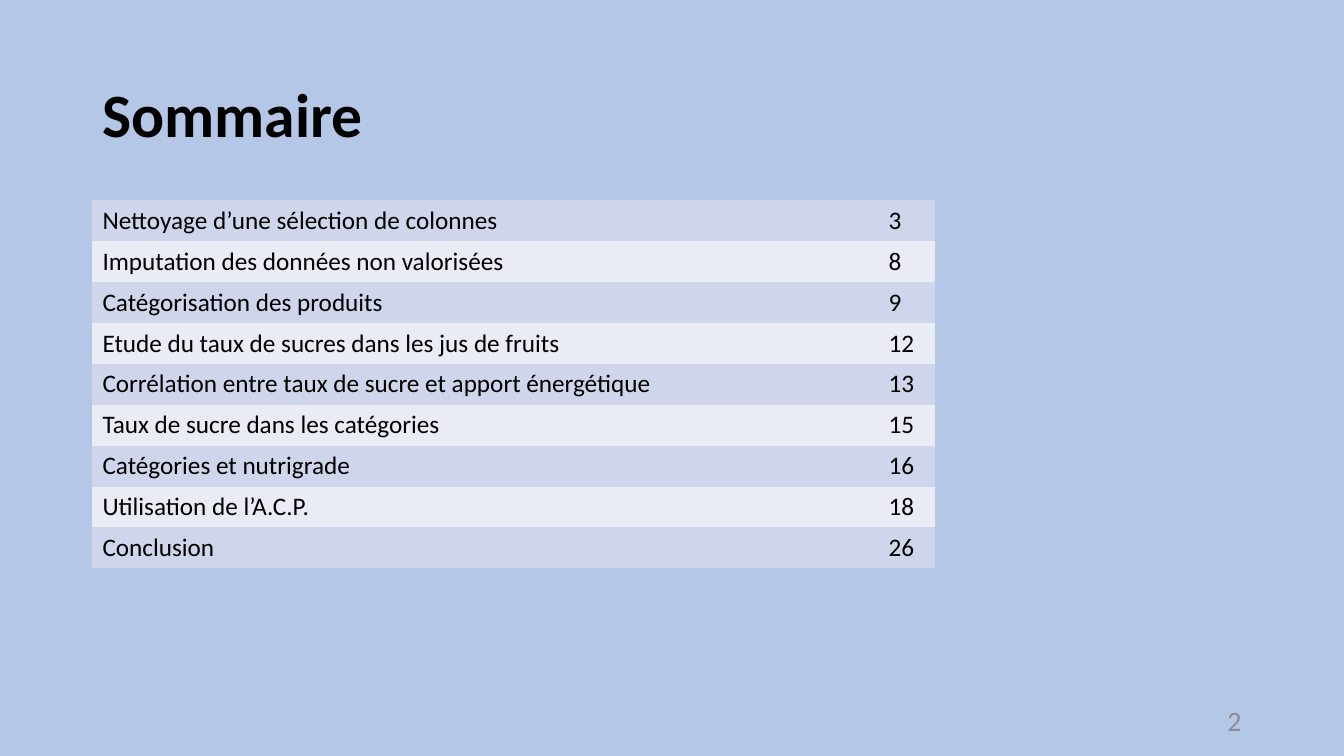
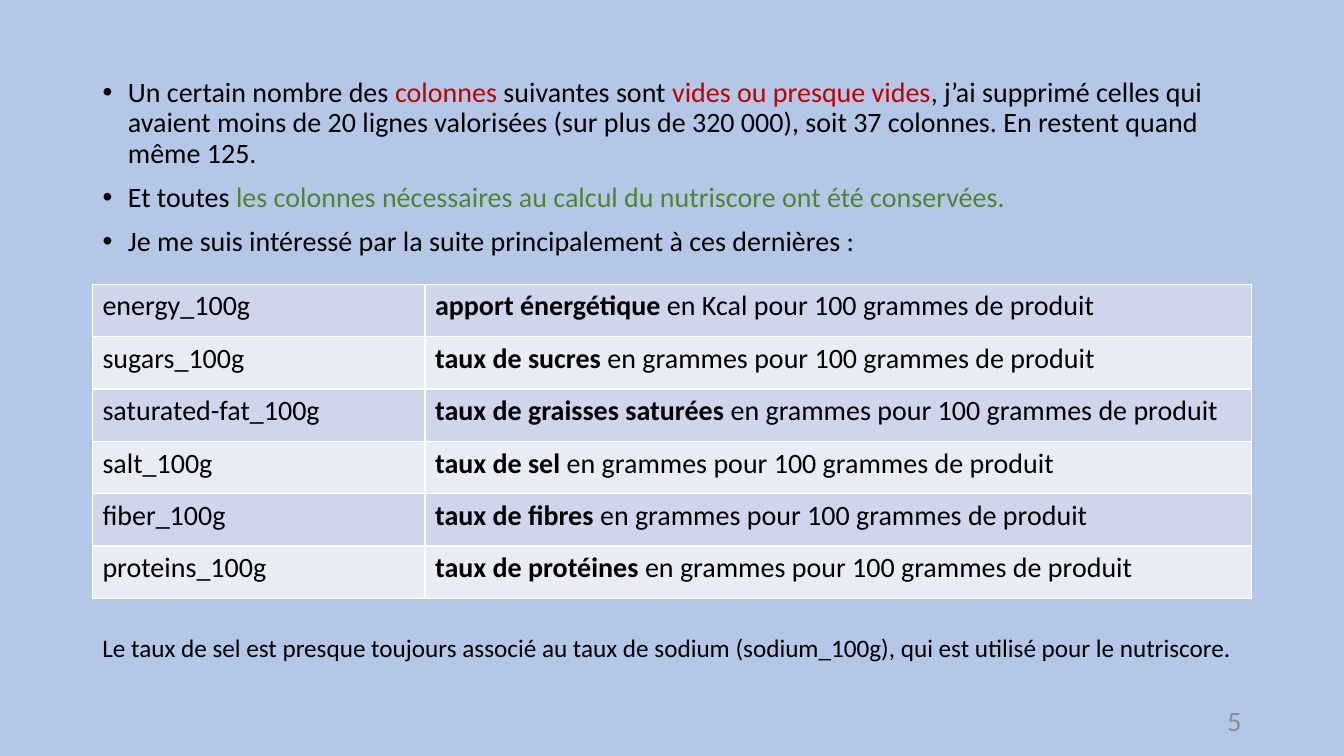
from lxml.etree import SubElement
from pptx import Presentation
from pptx.dml.color import RGBColor
from pptx.enum.text import MSO_ANCHOR, MSO_AUTO_SIZE, PP_ALIGN
from pptx.oxml.ns import qn
from pptx.util import Cm, Pt

COLORS = {
    "background": "B4C7E7",
    "text": "000000",
    "number": "8C8C8C",
    "alert": "C00000",
    "good": "548235",
    "band_dark": "CFD5EA",
    "band_light": "E9EBF5",
    "border": "FFFFFF",
}
FONT = "Calibri"
LEFT, WIDTH = 2.33, 29.21
TITLE_ONLY, TITLE_AND_BODY = 5, 1
NO_STYLE = "{2D5ABB26-0587-4C30-8999-92F81FD0307C}"

CONTENTS = [
    ("Nettoyage d’une sélection de colonnes", "3"),
    ("Imputation des données non valorisées", "8"),
    ("Catégorisation des produits", "9"),
    ("Etude du taux de sucres dans les jus de fruits", "12"),
    ("Corrélation entre taux de sucre et apport énergétique", "13"),
    ("Taux de sucre dans les catégories", "15"),
    ("Catégories et nutrigrade", "16"),
    ("Utilisation de l’A.C.P.", "18"),
    ("Conclusion", "26"),
]
REMARKS = [
    [("Un certain nombre des ", "text"), ("colonnes", "alert"),
     (" suivantes sont ", "text"), ("vides ou presque vides", "alert"),
     (", j’ai supprimé celles qui avaient moins de 20 lignes valorisées "
      "(sur plus de 320 000), soit 37 colonnes. En restent quand même 125.", "text")],
    [("Et toutes ", "text"),
     ("les colonnes nécessaires au calcul du nutriscore ont été conservées.", "good")],
    [("Je me suis intéressé par la suite principalement à ces dernières :", "text")],
]
NUTRIENTS = [
    ("energy_100g", "apport énergétique", "Kcal"),
    ("sugars_100g", "taux de sucres", "grammes"),
    ("saturated-fat_100g", "taux de graisses saturées", "grammes"),
    ("salt_100g", "taux de sel", "grammes"),
    ("fiber_100g", "taux de fibres", "grammes"),
    ("proteins_100g", "taux de protéines", "grammes"),
]


def rgb(name):
    return RGBColor.from_string(COLORS[name])


def add_run(p, text, size=20, color="text", bold=False):
    r = p.add_run()
    r.text = text
    r.font.name, r.font.size, r.font.bold = FONT, Pt(size), bold
    r.font.color.rgb = rgb(color)


def place(sp, left, top, width, height):
    sp.left, sp.top, sp.width, sp.height = Cm(left), Cm(top), Cm(width), Cm(height)


def add_text(slide, text, left, top, width, height, align=PP_ALIGN.LEFT,
             anchor=MSO_ANCHOR.TOP, **fmt):
    sp = slide.shapes.add_textbox(Cm(left), Cm(top), Cm(width), Cm(height))
    tf = sp.text_frame
    tf.word_wrap, tf.vertical_anchor = True, anchor
    p = tf.paragraphs[0]
    p.alignment = align
    add_run(p, text, **fmt)


def add_number(slide, number):
    add_text(slide, number, 23.92, 17.65, 7.62, 1.02, align=PP_ALIGN.RIGHT,
             anchor=MSO_ANCHOR.MIDDLE, color="number")


def set_title(slide, text):
    sp = slide.shapes.title
    place(sp, LEFT, 1.88, WIDTH, 2.18)
    tf = sp.text_frame
    tf.vertical_anchor, tf.auto_size = MSO_ANCHOR.MIDDLE, MSO_AUTO_SIZE.NONE
    p = tf.paragraphs[0]
    p.alignment, p.line_spacing = PP_ALIGN.LEFT, 0.9
    add_run(p, text, size=44, bold=True)


def set_bullets(sp, items):
    tf = sp.text_frame
    tf.auto_size = MSO_AUTO_SIZE.NONE
    for i, item in enumerate(items):
        p = tf.paragraphs[0] if i == 0 else tf.add_paragraph()
        p.line_spacing, p.space_before = 0.9, Pt(10)
        pPr = p._p.get_or_add_pPr()
        pPr.set("marL", str(Cm(0.64)))
        pPr.set("indent", str(-Cm(0.64)))
        SubElement(pPr, qn("a:buFont"), typeface="Arial")
        SubElement(pPr, qn("a:buChar"), char="•")
        for text, color in item:
            add_run(p, text, color=color)


def set_borders(cell):
    tcPr = cell._tc.get_or_add_tcPr()
    for i, side in enumerate(("lnL", "lnR", "lnT", "lnB")):
        ln = tcPr.makeelement(qn("a:" + side), {"w": str(Pt(1))})
        fill = SubElement(ln, qn("a:solidFill"))
        SubElement(fill, qn("a:srgbClr"), val=COLORS["border"])
        tcPr.insert(i, ln)  # borders come before the fill


def add_banded_table(slide, rows, top, col_widths, row_height, size, borders=False):
    """Each cell is a list of (text, bold) runs."""
    frame = slide.shapes.add_table(len(rows), len(col_widths), Cm(LEFT), Cm(top),
                                   Cm(sum(col_widths)), Cm(row_height * len(rows)))
    table = frame.table
    table.first_row = table.horz_banding = False
    table._tbl.tblPr.find(qn("a:tableStyleId")).text = NO_STYLE
    for column, width in zip(table.columns, col_widths):
        column.width = Cm(width)
    for i, row in enumerate(rows):
        table.rows[i].height = Cm(row_height)
        for j, runs in enumerate(row):
            cell = table.cell(i, j)
            cell.fill.solid()
            cell.fill.fore_color.rgb = rgb("band_light" if i % 2 else "band_dark")
            for text, bold in runs:
                add_run(cell.text_frame.paragraphs[0], text, size=size, bold=bold)
            if borders:
                set_borders(cell)


def build_contents(prs):
    slide = prs.slides.add_slide(prs.slide_layouts[TITLE_ONLY])
    set_title(slide, "Sommaire")
    rows = [[[(topic, False)], [(page, False)]] for topic, page in CONTENTS]
    add_banded_table(slide, rows, 5.05, (19.81, 1.42), 1.03, size=18)
    add_number(slide, "2")


def build_columns(prs):
    slide = prs.slides.add_slide(prs.slide_layouts[TITLE_AND_BODY])
    title = slide.shapes.title._element
    title.getparent().remove(title)
    body = slide.placeholders[1]
    place(body, LEFT, 1.85, WIDTH, 15.32)
    set_bullets(body, REMARKS)
    add_number(slide, "5")
    rows = [[[(column, False)],
             [(label, True), (f" en {unit} pour 100 grammes de produit", False)]]
            for column, label, unit in NUTRIENTS]
    add_banded_table(slide, rows, 7.16, (8.38, 20.83), 1.32, size=20, borders=True)
    add_text(slide, "Le taux de sel est presque toujours associé au taux de sodium "
             "(sodium_100g), qui est utilisé pour le nutriscore.",
             LEFT, 15.8, WIDTH, 1.02, size=18)


def main():
    prs = Presentation()
    prs.slide_width, prs.slide_height = Cm(33.87), Cm(19.05)
    # Shared background
    fill = prs.slide_master.background.fill
    fill.solid()
    fill.fore_color.rgb = rgb("background")
    build_contents(prs)
    build_columns(prs)
    prs.save("out.pptx")


if __name__ == "__main__":
    main()
